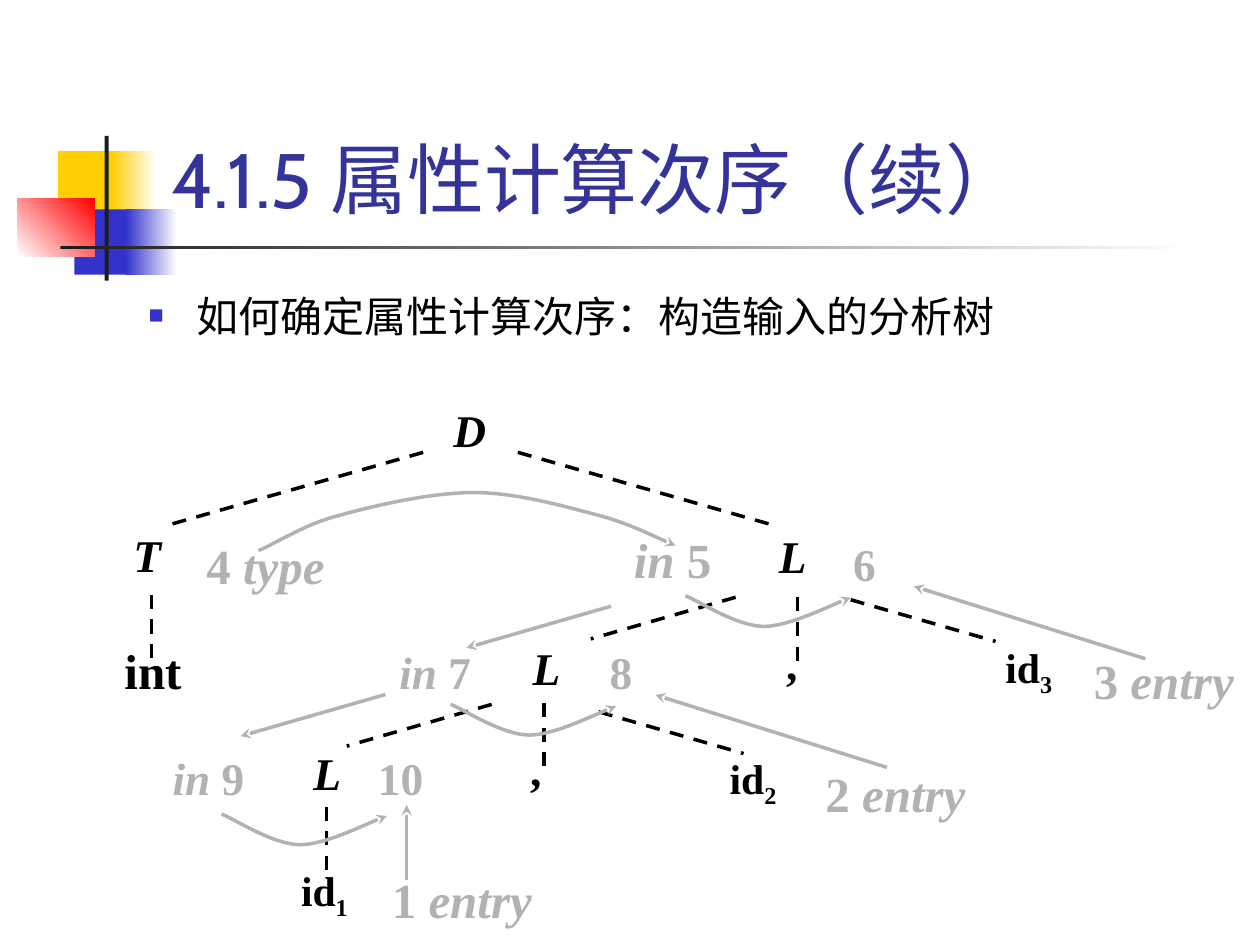
"""Build a slide showing attribute evaluation order on an annotated parse tree."""
from dataclasses import dataclass

from lxml import etree
from pptx import Presentation
from pptx.dml.color import RGBColor
from pptx.enum.dml import MSO_LINE
from pptx.enum.shapes import MSO_CONNECTOR, MSO_SHAPE
from pptx.enum.text import MSO_ANCHOR, MSO_AUTO_SIZE, PP_ALIGN
from pptx.oxml.ns import qn
from pptx.util import Cm, Pt

RECTANGLE = MSO_SHAPE.RECTANGLE
STRAIGHT = MSO_CONNECTOR.STRAIGHT
DASH = MSO_LINE.DASH
LEFT, JUSTIFY = PP_ALIGN.LEFT, PP_ALIGN.JUSTIFY


@dataclass(frozen=True)
class Theme:
    title_font: str = "Cabin"
    body_font: str = "Times New Roman"
    chinese_font: str = "Noto Sans CJK SC"
    title_color: str = "333399"
    blue: str = "3333CC"
    yellow: str = "FFCF01"
    red: str = "FF0000"
    white: str = "FFFFFF"
    dark: str = "1C1C1C"
    black: str = "000000"
    gray: str = "B2B2B2"
    title_size: float = 44
    body_size: float = 24
    large: float = 28
    medium: float = 25.9
    small: float = 23.8
    line_width: float = 2


THEME = Theme()

TITLE = "4.1.5 属性计算次序（续）"
BODY = "如何确定属性计算次序：构造输入的分析树"

DECORATION = [
    ((1.17, 3.05, 1.22, 1.32), (THEME.yellow,), 0),
    ((2.24, 3.05, 0.91, 1.32), (THEME.yellow, THEME.white), 0),
    ((1.5, 4.22, 1.17, 1.32), (THEME.blue,), 0),
    ((2.54, 4.22, 1.02, 1.32), (THEME.blue, THEME.white), 0),
    ((0.36, 4.01, 1.55, 1.17), (THEME.white, THEME.red), 45),
    ((2.11, 2.74, 0.08, 2.92), (THEME.dark,), 0),
    ((1.22, 4.95, 22.86, 0.08), (THEME.dark, THEME.white), 0),
]

PLAIN, ITALIC, SUBSCRIPT = "plain", "italic", "subscript"

TREE_LABELS = [
    (9.09, 8.08, 1.09, THEME.medium, [("D", ITALIC)]),
    (2.64, 10.59, 1.63, THEME.medium, [("T", ITALIC)]),
    (15.65, 10.62, 1.5, THEME.medium, [("L", ITALIC)]),
    (10.69, 12.88, 1.3, THEME.medium, [("L", ITALIC)]),
    (6.27, 14.99, 1.22, THEME.medium, [("L", ITALIC)]),
    (15.8, 12.78, 1.09, THEME.medium, [(",", PLAIN)]),
    (10.64, 14.91, 1.09, THEME.medium, [(",", PLAIN)]),
    (2.46, 12.88, 3, THEME.large, [("int", PLAIN)]),
    (20.22, 12.9, 2.5, THEME.small, [("id", PLAIN), ("3", SUBSCRIPT)]),
    (14.66, 15.14, 2.5, THEME.small, [("id", PLAIN), ("2", SUBSCRIPT)]),
    (6.02, 17.4, 2.5, THEME.small, [("id", PLAIN), ("1", SUBSCRIPT)]),
]

ATTRIBUTE_LABELS = [
    (7.85, 17.5, 2.97, THEME.large, [("1 ", PLAIN), ("entry", ITALIC)]),
    (16.59, 15.37, 2.97, THEME.large, [("2 ", PLAIN), ("entry", ITALIC)]),
    (22, 13.08, 2.97, THEME.large, [("3 ", PLAIN), ("entry", ITALIC)]),
    (4.11, 10.77, 2.69, THEME.large, [("4 ", PLAIN), ("type", ITALIC)]),
    (12.73, 10.64, 2.51, THEME.large, [("in ", ITALIC), ("5", PLAIN)]),
    (17.15, 10.77, 1.22, THEME.medium, [("6", PLAIN)]),
    (8, 12.95, 1.88, THEME.medium, [("in ", ITALIC), ("7", PLAIN)]),
    (12.24, 12.95, 1.22, THEME.medium, [("8", PLAIN)]),
    (3.43, 15.09, 1.88, THEME.medium, [("in ", ITALIC), ("9", PLAIN)]),
    (7.57, 15.09, 1.22, THEME.medium, [("10", PLAIN)]),
]

BRANCHES = [
    ((-5.16, 1.47), [(8.53, 9.12)]),
    ((5.16, 1.47), [(10.44, 9.12)]),
    ((-2.92, 0.84), [(14.83, 12.04), (9.91, 14.2)]),
    ((2.92, 0.84), [(17.15, 12.09), (12.07, 14.35)]),
    ((0, 1.3), [(3.05, 11.99), (16.08, 12.04), (10.97, 14.17), (6.58, 16.26)]),
]

DEPENDENCIES = [
    ((0, -1.5), [(8.2, 17.73)]),
    ((-2.92, 0.84), [(12.32, 12.22), (7.77, 14)]),
    ((-4.67, -1.46), [(23.09, 13.28), (17.88, 15.47)]),
]

TYPE_CURVE = [
    [(0.28, -0.1), (0.91, -0.53), (1.63, -0.71)],
    [(2.36, -0.91), (3.48, -1.17), (4.34, -1.17)],
    [(5.21, -1.17), (6.17, -0.89), (6.86, -0.71)],
    [(7.54, -0.53), (8.08, -0.23), (8.41, -0.1)],
]
LIST_CURVE = [
    [(0.25, 0.1), (1.02, 0.61), (1.57, 0.62)],
    [(2.13, 0.62), (2.95, 0.17), (3.33, 0.04)],
]
CURVES = [
    (TYPE_CURVE, [(5.21, 11.1)]),
    (LIST_CURVE, [(4.47, 16.41), (9.09, 14.2), (13.82, 12.01)]),
]
CURVE_STEPS = 12


def rgb(color):
    return RGBColor.from_string(color)


def style_paragraph(paragraph, font_name, size, color, alignment, bold=False):
    paragraph.alignment = alignment
    font = paragraph.font
    font.name, font.size, font.bold = font_name, Pt(size), bold
    font.color.rgb = rgb(color)
    defaults = paragraph._p.pPr.find(qn("a:defRPr"))
    etree.SubElement(defaults, qn("a:ea"), typeface=THEME.chinese_font)


def place(shape, left, top, width, height):
    shape.left, shape.top, shape.width, shape.height = map(Cm, (left, top, width, height))


def add_decoration(slide, box, colors, angle):
    shape = slide.shapes.add_shape(RECTANGLE, *map(Cm, box))
    shape.shadow.inherit = False
    shape.line.fill.background()
    if len(colors) == 1:
        shape.fill.solid()
        shape.fill.fore_color.rgb = rgb(colors[0])
        return
    shape.fill.gradient()
    shape.fill.gradient_angle = angle
    for stop, color in zip(shape.fill.gradient_stops, colors):
        stop.color.rgb = rgb(color)


def fill_title(title):
    place(title, 3.2, 0.58, 21.64, 4.06)
    frame = title.text_frame
    frame.text = TITLE
    frame.vertical_anchor = MSO_ANCHOR.BOTTOM
    frame.auto_size = MSO_AUTO_SIZE.NONE
    style_paragraph(frame.paragraphs[0], THEME.title_font, THEME.title_size, THEME.title_color, LEFT)


def fill_body(body):
    place(body, 2.74, 5.72, 20.32, 11.43)
    frame = body.text_frame
    frame.text = BODY
    frame.auto_size = MSO_AUTO_SIZE.NONE
    paragraph = frame.paragraphs[0]
    paragraph.space_before = Pt(0)
    properties = paragraph._p.get_or_add_pPr()
    properties.set("marL", str(Cm(0.97)))
    properties.set("indent", str(-Cm(0.97)))
    bullet_color = etree.SubElement(properties, qn("a:buClr"))
    etree.SubElement(bullet_color, qn("a:srgbClr"), val=THEME.blue)
    etree.SubElement(properties, qn("a:buSzPct"), val="60000")
    etree.SubElement(properties, qn("a:buChar"), char="■")
    style_paragraph(paragraph, THEME.body_font, THEME.body_size, THEME.black, LEFT)


def add_label(slide, left, top, width, size, runs, color):
    frame = slide.shapes.add_textbox(Cm(left), Cm(top), Cm(width), Cm(1.25)).text_frame
    frame.word_wrap = True
    frame.margin_left = frame.margin_right = Cm(0.05)
    frame.margin_top = frame.margin_bottom = Cm(0.03)
    paragraph = frame.paragraphs[0]
    style_paragraph(paragraph, THEME.body_font, size, color, JUSTIFY, bold=True)
    for text, style in runs:
        run = paragraph.add_run()
        run.text = text
        run.font.italic = style == ITALIC
        if style == SUBSCRIPT:
            run._r.get_or_add_rPr().set("baseline", "-25000")


def style_line(shape, color, arrow):
    shape.line.color.rgb = rgb(color)
    shape.line.width = Pt(THEME.line_width)
    if arrow:
        outline = shape._element.spPr.find(qn("a:ln"))
        etree.SubElement(outline, qn("a:tailEnd"), type="stealth")
    else:
        shape.line.dash_style = DASH


def add_lines(slide, groups, color, arrow):
    for (across, down), starts in groups:
        for x, y in starts:
            line = slide.shapes.add_connector(STRAIGHT, Cm(x), Cm(y), Cm(x + across), Cm(y + down))
            style_line(line, color, arrow)
            etree.SubElement(line._element.spPr, qn("a:effectLst"))


def curve_points(segments):
    start = (0, 0)
    for first, second, end in segments:
        for step in range(1, CURVE_STEPS + 1):
            t = step / CURVE_STEPS
            weights = ((1 - t) ** 3, 3 * t * (1 - t) ** 2, 3 * t * t * (1 - t), t ** 3)
            controls = (start, first, second, end)
            yield tuple(sum(w * point[axis] for w, point in zip(weights, controls)) for axis in (0, 1))
        start = end


def add_curve(slide, segments, x, y):
    builder = slide.shapes.build_freeform(Cm(x), Cm(y))
    points = [(Cm(x + across), Cm(y + down)) for across, down in curve_points(segments)]
    builder.add_line_segments(points, close=False)
    curve = builder.convert_to_shape()
    curve.shadow.inherit = False
    curve.fill.background()
    style_line(curve, THEME.gray, arrow=True)


def main():
    presentation = Presentation()
    presentation.slide_width, presentation.slide_height = Cm(25.4), Cm(19.05)
    slide = presentation.slides.add_slide(presentation.slide_layouts[1])
    for decoration in DECORATION:
        add_decoration(slide, *decoration)
    fill_title(slide.shapes.title)
    fill_body(slide.placeholders[1])
    for labels, color in ((TREE_LABELS, THEME.black), (ATTRIBUTE_LABELS, THEME.gray)):
        for label in labels:
            add_label(slide, *label, color)
    add_lines(slide, BRANCHES, THEME.black, arrow=False)
    add_lines(slide, DEPENDENCIES, THEME.gray, arrow=True)
    for segments, starts in CURVES:
        for start in starts:
            add_curve(slide, segments, *start)
    presentation.save("out.pptx")


if __name__ == "__main__":
    main()
